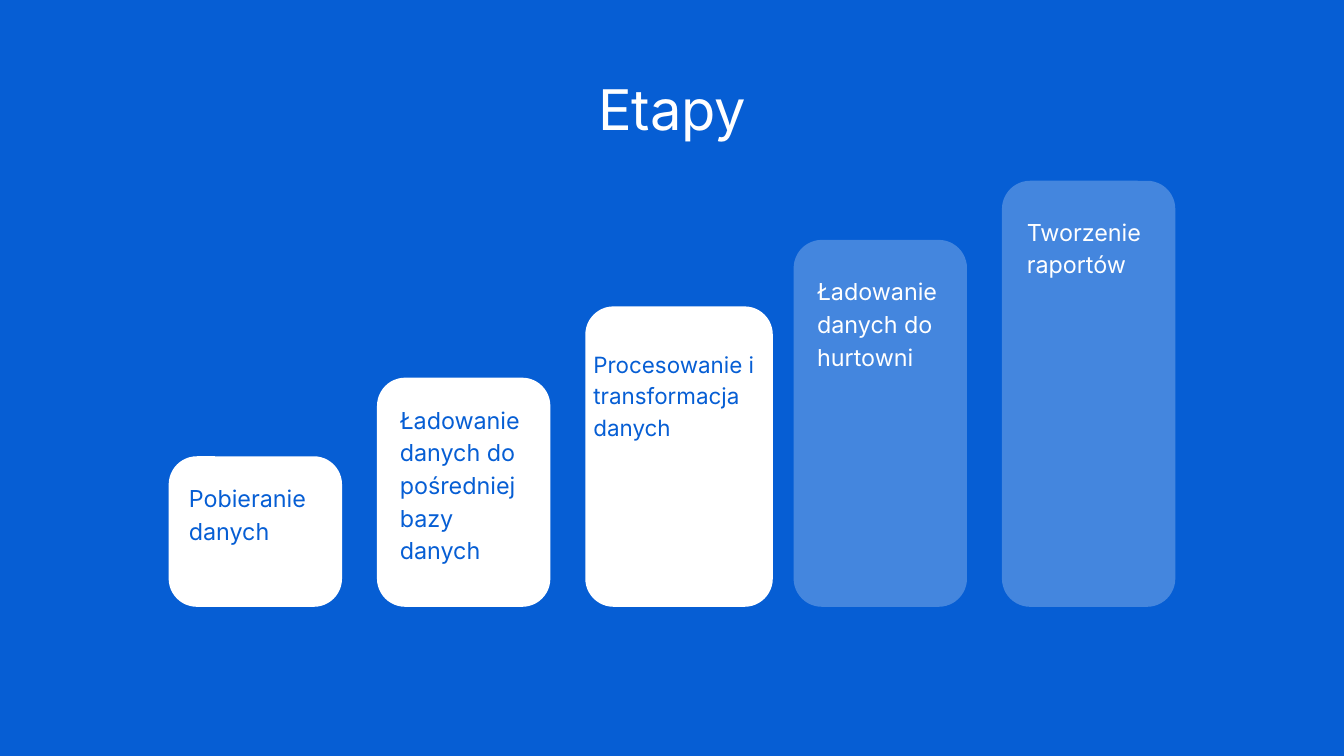
from lxml import etree
from pptx import Presentation
from pptx.dml.color import RGBColor
from pptx.enum.shapes import MSO_SHAPE
from pptx.enum.text import MSO_ANCHOR, MSO_AUTO_SIZE, PP_ALIGN
from pptx.oxml.ns import qn
from pptx.util import Emu, Pt

PX = 9144  # EMU per px, 100 px to the inch
FONT = "Inter"
COLORS = {"blue": "065ED4", "white": "FFFFFF"}

FIRST_LEFT, PITCH, BASELINE = 251, 310, 903
CORNER = 42

# bar top, bar width, bar opacity %, label (left, top, width, height),
# label size, label colour, label paragraphs
STAGES = [
    (679, 258, 100, (281, 714, 191, 94), 25, "blue", ["Pobieranie", "danych"]),
    (562, 258, 100, (595, 597, 191, 238), 25, "blue",
     ["Ładowanie danych do pośredniej bazy danych"]),
    (456, 279, 100, (883, 516, 254, 136), 24, "blue",
     ["Procesowanie i transformacja danych"]),
    (357, 258, 25, (1216, 406, 191, 142), 25, "white",
     ["Ładowanie danych do hurtowni"]),
    (269, 258, 25, (1528, 317, 191, 94), 25, "white", ["Tworzenie", "raportów"]),
]


def px(*lengths):
    return [Emu(length * PX) for length in lengths]


def color(name):
    return RGBColor.from_string(COLORS[name])


def add_bar(slide, left, top, width, opacity):
    height = BASELINE - top
    bar = slide.shapes.add_shape(
        MSO_SHAPE.ROUNDED_RECTANGLE, *px(left, top, width, height))
    bar.adjustments[0] = CORNER / min(width, height)
    bar.shadow.inherit = False
    bar.line.fill.background()
    bar.fill.solid()
    bar.fill.fore_color.rgb = color("white")
    if opacity < 100:
        tint = bar.fill._xPr.find(".//" + qn("a:srgbClr"))
        etree.SubElement(tint, qn("a:alpha"), val=str(opacity * 1000))


def add_text(slide, box, paragraphs, size, color_name, spacing, align=PP_ALIGN.LEFT):
    frame = slide.shapes.add_textbox(*px(*box)).text_frame
    frame.word_wrap = True
    frame.auto_size = MSO_AUTO_SIZE.SHAPE_TO_FIT_TEXT
    frame.vertical_anchor = MSO_ANCHOR.TOP
    frame.margin_left = frame.margin_right = 0
    frame.margin_top = frame.margin_bottom = 0
    for index, text in enumerate(paragraphs):
        paragraph = frame.add_paragraph() if index else frame.paragraphs[0]
        paragraph.alignment = align
        paragraph.line_spacing = Pt(spacing)
        run = paragraph.add_run()
        run.text = text
        run.font.name = FONT
        run.font.size = Pt(size)
        run.font.color.rgb = color(color_name)


def main():
    deck = Presentation()
    deck.slide_width, deck.slide_height = px(2000, 1125)
    slide = deck.slides.add_slide(deck.slide_layouts[6])
    slide.background.fill.solid()
    slide.background.fill.fore_color.rgb = color("blue")

    # Rising bars on a common baseline
    for step, (top, width, opacity, *_) in enumerate(STAGES):
        add_bar(slide, FIRST_LEFT + step * PITCH, top, width, opacity)

    # Title
    add_text(slide, (377, 117, 1247, 95), ["Etapy"], 60, "white", 67.2,
             PP_ALIGN.CENTER)

    # Stage labels
    for *_, box, size, color_name, paragraphs in STAGES:
        add_text(slide, box, paragraphs, size, color_name, size * 1.4)

    deck.save("out.pptx")


if __name__ == "__main__":
    main()
